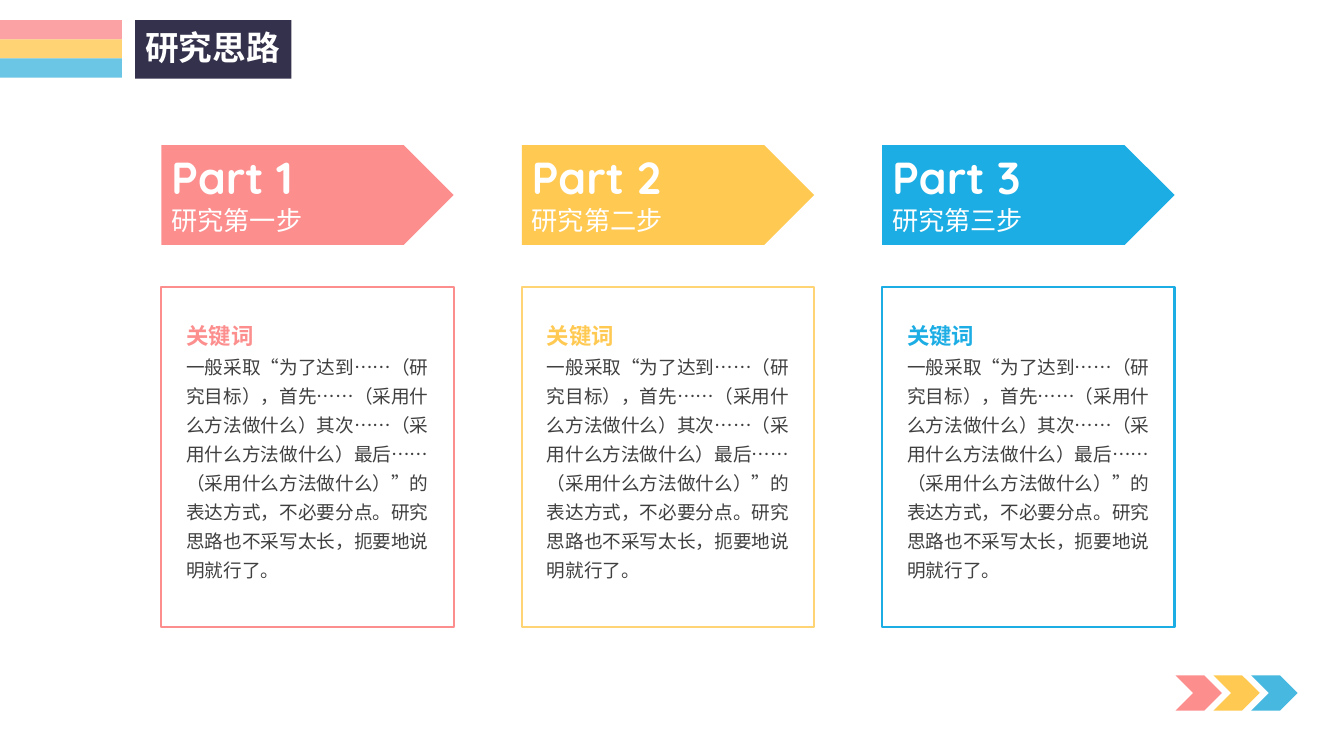
from lxml.etree import SubElement
from pptx import Presentation
from pptx.dml.color import RGBColor
from pptx.enum.shapes import MSO_SHAPE
from pptx.enum.text import MSO_ANCHOR, MSO_AUTO_SIZE, PP_ALIGN
from pptx.oxml.ns import qn
from pptx.util import Inches, Pt

COLORS = {
    "pink": "FC8E8E",
    "yellow": "FFC952",
    "pale_yellow": "FFD475",
    "blue": "1CADE4",
    "soft_blue": "47B8E0",
    "stripe_pink": "FB8D8E",
    "navy": "34314C",
    "white": "FFFFFF",
    "gray": "404040",
}
LATIN_FONT = "Quicksand"
CHINESE_FONT = "Noto Sans CJK SC"
KEYWORD = "关键词"
DESCRIPTION = (
    "一般采取“为了达到……（研究目标），首先……（采用什么方法做什么）"
    "其次……（采用什么方法做什么）最后……（采用什么方法做什么）”的表达方式，"
    "不必要分点。研究思路也不采写太长，扼要地说明就行了。"
)
STEPS = [
    ("Part 1", "研究第一步", "pink", "pink"),
    ("Part 2", "研究第二步", "yellow", "pale_yellow"),
    ("Part 3", "研究第三步", "blue", "blue"),
]


def color(name):
    return RGBColor.from_string(COLORS[name])


def write(paragraph, text, size, fill, bold=False, spacing=1.0, latin=LATIN_FONT):
    paragraph.alignment = PP_ALIGN.LEFT
    paragraph.line_spacing = spacing
    paragraph.space_before = Pt(0)
    run = paragraph.add_run()
    run.text = text
    run.font.size = Pt(size)
    run.font.bold = bold
    run.font.color.rgb = color(fill)
    run.font.name = latin
    properties = run.font._element
    properties.set("lang", "zh-CN")
    SubElement(properties, qn("a:ea")).set("typeface", CHINESE_FONT)


class StepSlide:
    def __init__(self, presentation):
        self.slide = presentation.slides.add_slide(presentation.slide_layouts[5])

    def title(self, text, left, top, width, height):
        title = self.slide.shapes.title
        title.left, title.top = Inches(left), Inches(top)
        title.width, title.height = Inches(width), Inches(height)
        title.fill.solid()
        title.fill.fore_color.rgb = color("navy")
        frame = title.text_frame
        frame.auto_size = MSO_AUTO_SIZE.NONE
        frame.vertical_anchor = MSO_ANCHOR.MIDDLE
        write(frame.paragraphs[0], text, 24, "white", bold=True, spacing=0.9,
              latin=CHINESE_FONT)

    def shape(self, kind, left, top, width, height, fill, line=None, opacity=None):
        shape = self.slide.shapes.add_shape(
            kind, Inches(left), Inches(top), Inches(width), Inches(height))
        shape.shadow.inherit = False
        shape.fill.solid()
        shape.fill.fore_color.rgb = color(fill)
        if opacity:
            value = shape._element.spPr.find(".//" + qn("a:srgbClr"))
            SubElement(value, qn("a:alpha")).set("val", str(opacity * 1000))
        if line:
            shape.line.color.rgb = color(line)
            shape.line.width = Pt(1.5)
        else:
            shape.line.fill.background()

    def text(self, left, top, width, height, heading, body):
        box = self.slide.shapes.add_textbox(
            Inches(left), Inches(top), Inches(width), Inches(height))
        frame = box.text_frame
        frame.word_wrap = True
        write(frame.paragraphs[0], **heading)
        write(frame.add_paragraph(), **body)

    def step(self, left, part, name, accent, border):
        self.shape(MSO_SHAPE.RECTANGLE, left, 2.85, 2.9, 3.37, "white", line=border)
        self.text(left + 0.15, 3.07, 2.62, 2.78,
                  dict(text=KEYWORD, size=16, fill=accent, bold=True, spacing=1.3),
                  dict(text=DESCRIPTION, size=13.3, fill="gray", spacing=1.3))
        self.shape(MSO_SHAPE.PENTAGON, left, 1.44, 2.9, 0.99, accent)
        self.text(left, 1.44, 2.44, 0.95,
                  dict(text=part, size=32, fill="white", bold=True),
                  dict(text=name, size=18.7, fill="white"))


def main():
    presentation = Presentation()
    presentation.slide_width = Inches(13.33)
    presentation.slide_height = Inches(7.5)
    page = StepSlide(presentation)

    for index, fill in enumerate(["stripe_pink", "yellow", "soft_blue"]):
        page.shape(MSO_SHAPE.RECTANGLE, 0, 0.2 + index * 0.19, 1.21, 0.19, fill,
                   opacity=80)
    for index, fill in enumerate(["pink", "yellow", "soft_blue"]):
        page.shape(MSO_SHAPE.CHEVRON, 11.66 + index * 0.375, 6.7, 0.46, 0.35, fill)
    page.title("研究思路", 1.34, 0.2, 1.55, 0.58)
    for index, step in enumerate(STEPS):
        page.step(1.6 + index * 3.575, *step)

    presentation.save("out.pptx")


if __name__ == "__main__":
    main()
